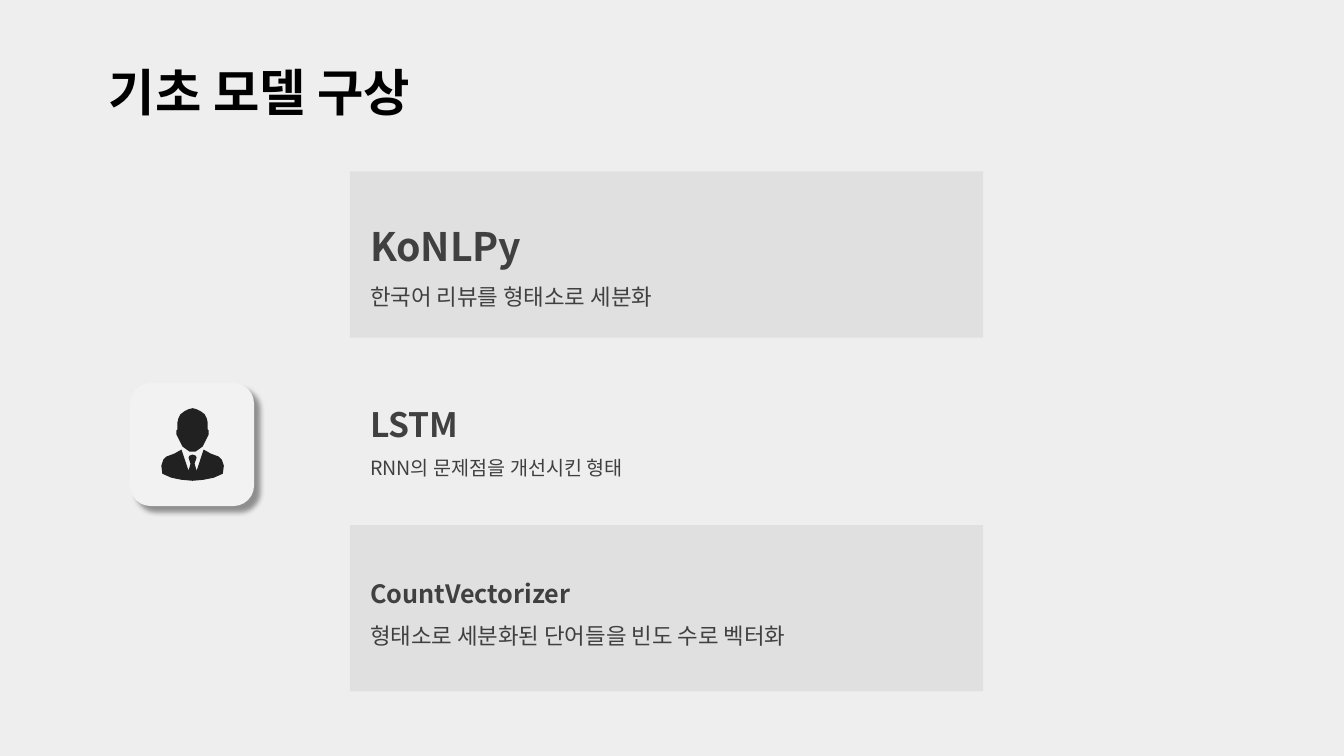
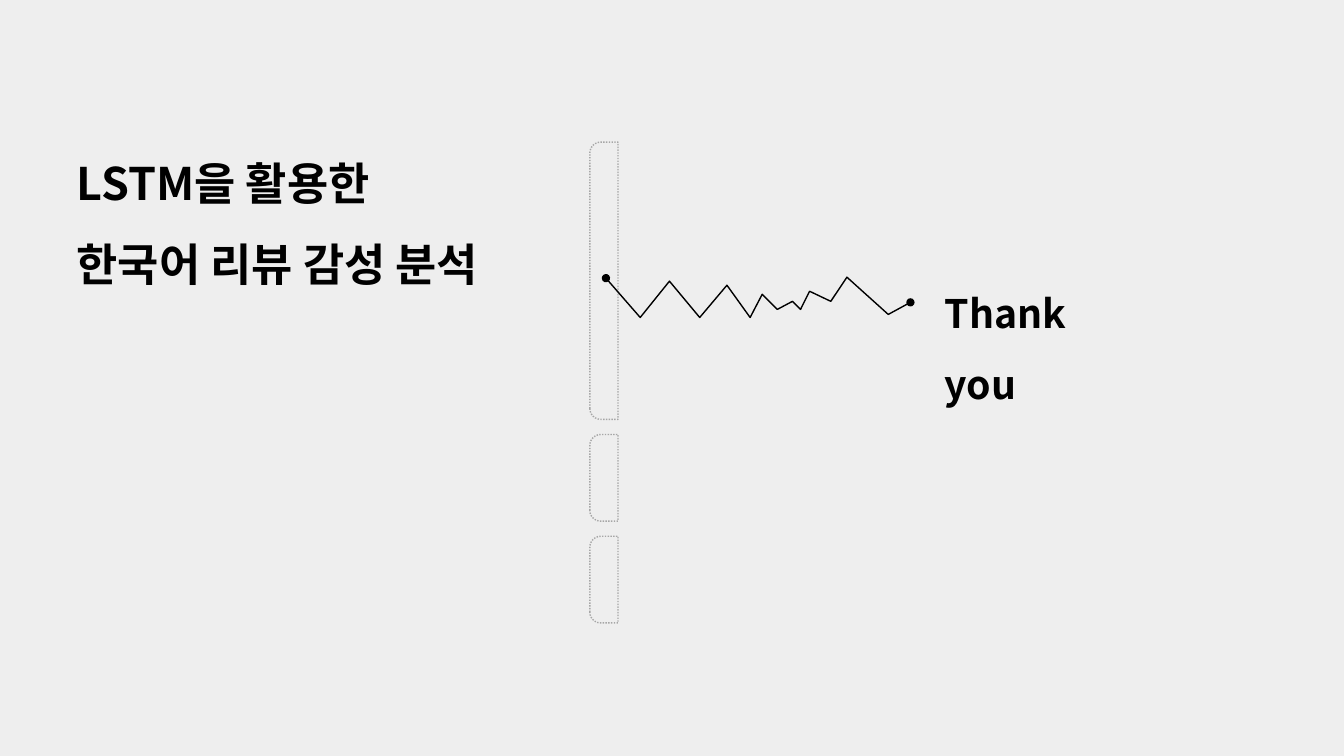
import dataclasses

import pptx
import pptx.dml.color
import pptx.enum.dml
import pptx.enum.shapes
import pptx.enum.text
import pptx.oxml
import pptx.oxml.ns
import pptx.util
from pptx.util import Inches

SHAPE = pptx.enum.shapes.MSO_SHAPE
ANCHOR = pptx.enum.text.MSO_ANCHOR


@dataclasses.dataclass(frozen=True)
class Theme:
    font: str = "Noto Sans CJK KR"
    background: str = "EEEEEE"
    band: str = "E0E0E0"
    tile: str = "F2F2F2"
    icon: str = "212121"
    ink: str = "000000"
    body: str = "404040"
    outline: str = "A6A6A6"
    title_size: int = 36
    closing_title_size: int = 32
    large_size: int = 28
    medium_size: int = 24
    small_size: int = 18
    detail_size: int = 16
    small_detail_size: int = 14
    line_spacing: float = 1.5


THEME = Theme()


def rgb(color):
    return pptx.dml.color.RGBColor.from_string(color)


def drawing_element(parent, tag, **attributes):
    child = pptx.oxml.parse_xml(f'<a:{tag} {pptx.oxml.ns.nsdecls("a")}/>')
    for name, value in attributes.items():
        child.set(name, str(value))
    parent.append(child)
    return child


def write(paragraph, text, size, color=THEME.ink, bold=True):
    paragraph.alignment = pptx.enum.text.PP_ALIGN.LEFT
    paragraph.line_spacing = THEME.line_spacing
    run = paragraph.add_run()
    run.text = text
    run.font.name = THEME.font
    run.font.size = pptx.util.Pt(size)
    run.font.bold = bold
    run.font.color.rgb = rgb(color)
    drawing_element(run.font._element, "ea", typeface=THEME.font)


def mirrored(half, center):
    return half + [(2 * center - x, y) for x, y in reversed(half[1:-1])]


class Deck:
    """Holds the presentation style and the slide being built."""

    def __init__(self):
        self.presentation = pptx.Presentation()
        self.presentation.slide_width = Inches(13.33)
        self.presentation.slide_height = Inches(7.5)
        background = self.presentation.slide_master.background.fill
        background.solid()
        background.fore_color.rgb = rgb(THEME.background)
        self.slide = None

    def add_slide(self, title_lines, left, top, width, height, size):
        layout = self.presentation.slide_layouts.get_by_name("Title Only")
        self.slide = self.presentation.slides.add_slide(layout)
        title = self.slide.shapes.title
        title.left, title.top = Inches(left), Inches(top)
        title.width, title.height = Inches(width), Inches(height)
        self.fill_text(title.text_frame, [(line, {"size": size}) for line in title_lines])

    def fill_text(self, frame, lines, anchor=ANCHOR.TOP):
        frame.word_wrap = True
        frame.auto_size = pptx.enum.text.MSO_AUTO_SIZE.NONE
        frame.vertical_anchor = anchor
        for index, (text, style) in enumerate(lines):
            paragraph = frame.add_paragraph() if index else frame.paragraphs[0]
            write(paragraph, text, **style)

    def text(self, lines, left, top, width, height):
        box = self.slide.shapes.add_textbox(
            Inches(left), Inches(top), Inches(width), Inches(height))
        self.fill_text(box.text_frame, lines)

    def paint(self, shape, fill=None, line=None):
        shape.shadow.inherit = False
        if fill:
            shape.fill.solid()
            shape.fill.fore_color.rgb = rgb(fill)
        else:
            shape.fill.background()
        if line:
            shape.line.color.rgb = rgb(line)
            shape.line.width = pptx.util.Pt(1)
        else:
            shape.line.fill.background()
        return shape

    def shape(self, kind, left, top, width, height, **colors):
        shape = self.slide.shapes.add_shape(
            kind, Inches(left), Inches(top), Inches(width), Inches(height))
        return self.paint(shape, **colors)

    def band(self, top, height, fill, lines, bottom_inset=0.05):
        frame = self.shape(SHAPE.RECTANGLE, 3.47, top, 6.28, height, fill=fill).text_frame
        frame.margin_left = Inches(0.2)
        frame.margin_bottom = Inches(bottom_inset)
        self.fill_text(frame, lines, ANCHOR.MIDDLE)

    def raised_tile(self, left, top, width, height):
        tile = self.shape(SHAPE.ROUNDED_RECTANGLE, left, top, width, height, fill=THEME.tile)
        effects = tile.element.spPr.find(pptx.oxml.ns.qn("a:effectLst"))
        shadow = drawing_element(
            effects, "outerShdw", blurRad=pptx.util.Pt(4), dist=pptx.util.Pt(6),
            dir=45 * 60000, algn="tl", rotWithShape=0)
        color = drawing_element(shadow, "srgbClr", val=THEME.ink)
        drawing_element(color, "alpha", val=40000)

    def bracket(self, center_x, top, length, thickness):
        bracket = self.shape(
            SHAPE.ROUND_2_SAME_RECTANGLE, center_x - length / 2,
            top + (length - thickness) / 2, length, thickness, line=THEME.outline)
        bracket.rotation = 270
        bracket.adjustments[0] = 0.385
        bracket.adjustments[1] = 0
        bracket.line.dash_style = pptx.enum.dml.MSO_LINE.ROUND_DOT

    def outline(self, points, close=True, **colors):
        start, *rest = [(Inches(x), Inches(y)) for x, y in points]
        builder = self.slide.shapes.build_freeform(*start)
        builder.add_line_segments(rest, close=close)
        return self.paint(builder.convert_to_shape(), **colors)

    def dotted_ends(self, points):
        line = self.outline(points, close=False, line=THEME.ink)
        properties = line.element.spPr.find(pptx.oxml.ns.qn("a:ln"))
        for tag in ("headEnd", "tailEnd"):
            drawing_element(properties, tag, type="oval")


def build_model_slide(deck):
    deck.add_slide(["기초 모델 구상"], 0.98, 0.26, 5.28, 0.89, THEME.title_size)
    steps = [
        ("KoNLPy", THEME.large_size, "한국어 리뷰를 형태소로 세분화", THEME.detail_size, THEME.band, 0.05),
        ("LSTM", THEME.medium_size, "RNN의 문제점을 개선시킨 형태", THEME.small_detail_size,
         THEME.background, 0.05),
        ("CountVectorizer", THEME.small_size, "형태소로 세분화된 단어들을 빈도 수로 벡터화",
         THEME.detail_size, THEME.band, 0.1),
    ]
    first_top, last_top, height = 1.7, 5.21, 1.65
    pitch = (last_top - first_top) / (len(steps) - 1)
    for index, (name, name_size, detail, detail_size, fill, inset) in enumerate(steps):
        lines = [
            (name, {"size": name_size, "color": THEME.body}),
            (detail, {"size": detail_size, "color": THEME.body, "bold": False}),
        ]
        deck.band(first_top + index * pitch, height, fill, lines, inset)

    deck.raised_tile(1.29, 3.8, 1.23, 1.22)
    head = [
        (1.91, 4.05), (1.87, 4.06), (1.83, 4.08), (1.79, 4.11), (1.77, 4.15),
        (1.76, 4.19), (1.76, 4.26), (1.75, 4.27), (1.75, 4.31), (1.77, 4.35),
        (1.79, 4.39), (1.81, 4.43), (1.85, 4.46), (1.88, 4.48), (1.91, 4.48),
    ]
    suit = [
        (1.91, 4.51), (1.88, 4.52), (1.87, 4.54), (1.89, 4.6), (1.87, 4.67),
        (1.8, 4.46), (1.73, 4.5), (1.65, 4.53), (1.62, 4.56), (1.6, 4.62),
        (1.61, 4.7), (1.7, 4.74), (1.8, 4.76), (1.91, 4.77),
    ]
    for half in (head, suit):
        deck.outline(mirrored(half, 1.91), fill=THEME.icon)


def build_closing_slide(deck):
    deck.add_slide(["LSTM을 활용한", "한국어 리뷰 감성 분석"],
                   0.66, 1.23, 5.01, 1.72, THEME.closing_title_size)
    top, gap = 1.41, 0.15
    for length in (2.75, 0.86, 0.86):
        deck.bracket(5.99, top, length, 0.28)
        top += length + gap
    deck.dotted_ends([
        (6.01, 2.76), (6.35, 3.15), (6.64, 2.79), (6.94, 3.15), (7.21, 2.83),
        (7.44, 3.15), (7.56, 2.92), (7.71, 3.07), (7.86, 2.99), (7.94, 3.07),
        (8.03, 2.89), (8.24, 2.99), (8.4, 2.75), (8.81, 3.12), (9.03, 3),
    ])
    deck.text([("Thank you", {"size": THEME.large_size})], 9.27, 2.59, 2, 0.72)


def main():
    deck = Deck()
    build_model_slide(deck)
    build_closing_slide(deck)
    deck.presentation.save("out.pptx")


if __name__ == "__main__":
    main()
